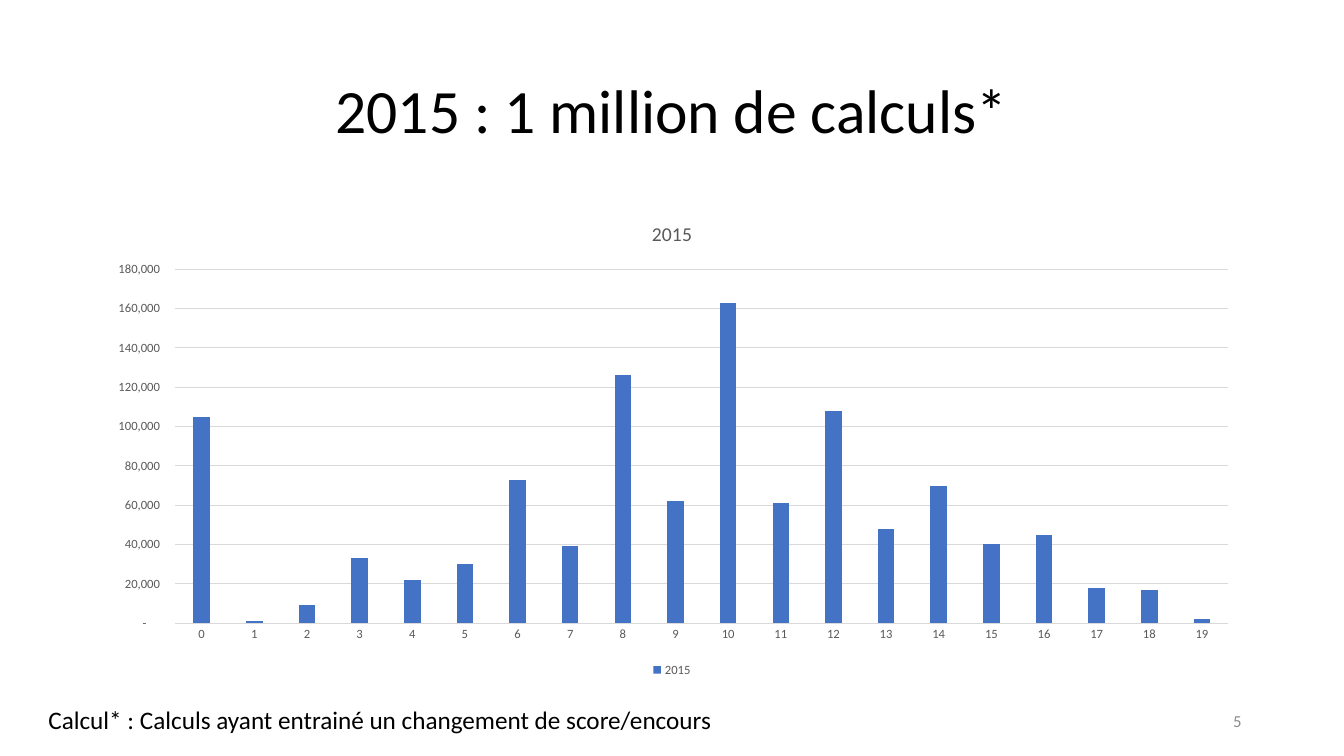
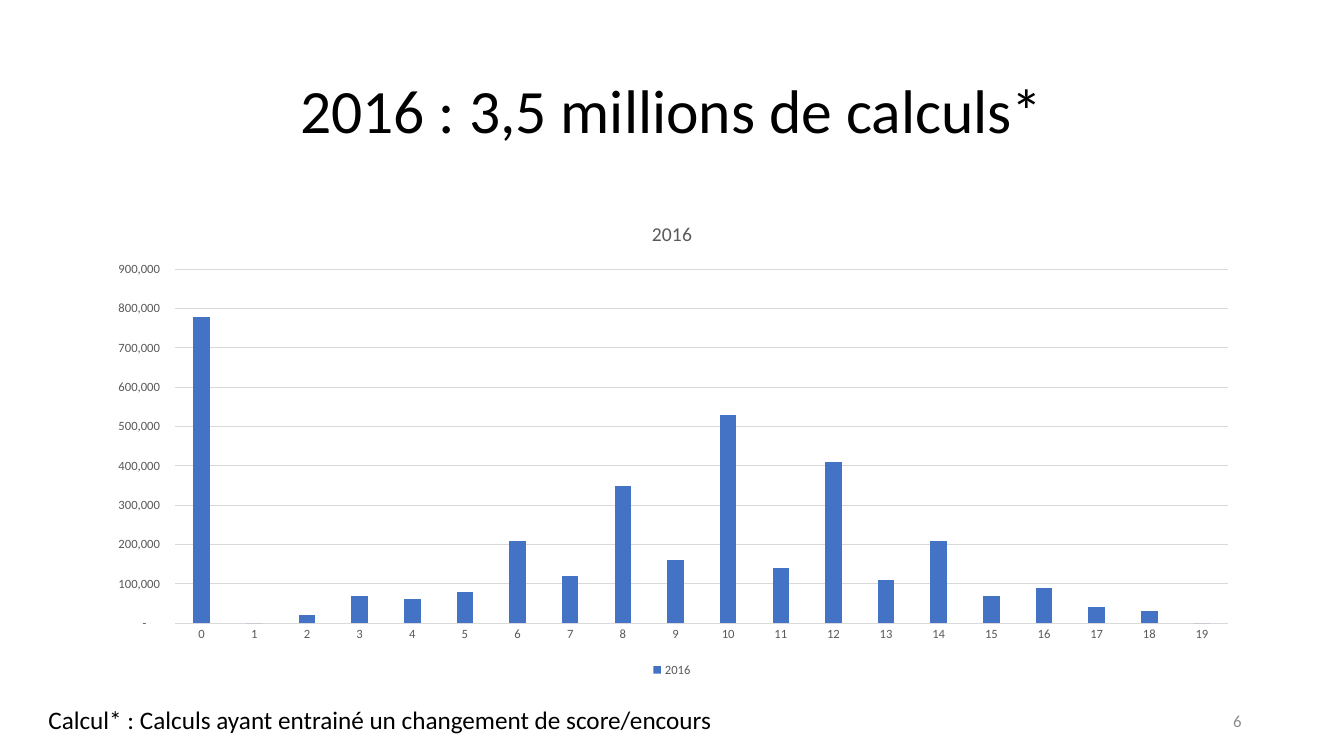
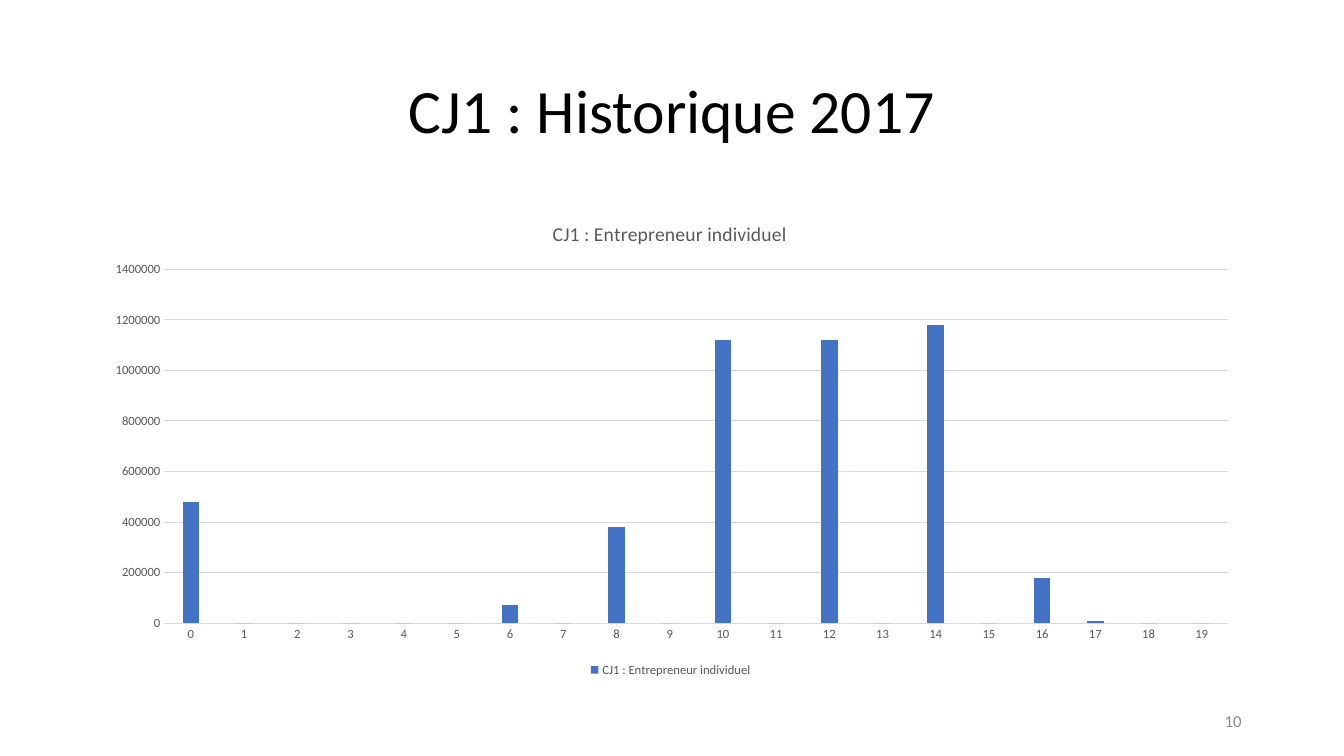
from collections import namedtuple

from pptx import Presentation
from pptx.chart.data import CategoryChartData
from pptx.dml.color import RGBColor
from pptx.enum.chart import XL_CHART_TYPE, XL_LEGEND_POSITION, XL_TICK_MARK
from pptx.enum.text import MSO_ANCHOR, MSO_AUTO_SIZE, PP_ALIGN
from pptx.util import Cm, Pt

FONT = "Calibri"
COLORS = {
    "text": "000000",
    "chart_text": "595959",
    "grid": "D9D9D9",
    "bar": "4472C4",
    "page": "8C8C8C",
}
EURO_FORMAT = r'_-* #,##0\ _€_-;\-* #,##0\ _€_-;_-* "-"??\ _€_-;_-@_-'
FOOTNOTE = "Calcul* : Calculs ayant entrainé un changement de score/encours"
SCORES = [str(score) for score in range(20)]

Box = namedtuple("Box", "left top width height")
TITLE_BOX = Box(2.33, 1.01, 29.21, 3.68)
CHART_BOX = Box(2.33, 5.08, 29.21, 12.09)
NOTE_BOX = Box(0.97, 17.63, 19.43, 1.03)
PAGE_BOX = Box(23.92, 17.66, 7.62, 1.01)

# Counts per score, in thousands
SLIDES = [
    dict(title="2015 : 1 million de calculs*", series="2015", page=5,
         number_format=EURO_FORMAT, footnote=FOOTNOTE,
         thousands=[105, 1, 9, 33, 22, 30, 73, 39, 126, 62,
                    163, 61, 108, 48, 70, 40, 45, 18, 17, 2]),
    dict(title="2016 : 3,5 millions de calculs*", series="2016", page=6,
         number_format=EURO_FORMAT, footnote=FOOTNOTE,
         thousands=[780, 0, 20, 70, 60, 80, 210, 120, 350, 160,
                    530, 140, 410, 110, 210, 70, 90, 40, 30, 0]),
    dict(title="CJ1 : Historique 2017", series="CJ1 : Entrepreneur individuel ",
         page=10, number_format="General", footnote=None,
         thousands=[480, 0, 0, 0, 0, 0, 70, 0, 380, 0,
                    1120, 0, 1120, 0, 1180, 0, 180, 10, 0, 0]),
]


def color(name):
    return RGBColor.from_string(COLORS[name])


def lengths(box):
    return [Cm(value) for value in box]


def style_font(font, size, color_name):
    font.name = FONT
    font.size = Pt(size)
    font.bold = False
    font.color.rgb = color(color_name)


def style_line(line, color_name):
    line.color.rgb = color(color_name)
    line.width = Pt(0.75)


def add_run(p, text, size, color_name):
    r = p.add_run()
    r.text = text
    style_font(r.font, size, color_name)


def add_title(s, box, text):
    sp = s.shapes.title
    sp.left, sp.top, sp.width, sp.height = lengths(box)
    tf = sp.text_frame
    tf.vertical_anchor = MSO_ANCHOR.MIDDLE
    p = tf.paragraphs[0]
    p.alignment = PP_ALIGN.CENTER
    p.line_spacing = 0.9
    add_run(p, text, 44, "text")


def add_label(s, box, text, size, color_name, align, anchor):
    tf = s.shapes.add_textbox(*lengths(box)).text_frame
    tf.word_wrap = True
    tf.auto_size = MSO_AUTO_SIZE.NONE
    tf.vertical_anchor = anchor
    p = tf.paragraphs[0]
    p.alignment = align
    add_run(p, text, size, color_name)


def style_axis(axis):
    axis.major_tick_mark = XL_TICK_MARK.NONE
    axis.minor_tick_mark = XL_TICK_MARK.NONE
    style_font(axis.tick_labels.font, 9, "chart_text")


def add_score_chart(s, box, name, values, number_format):
    data = CategoryChartData(number_format=number_format)
    data.categories = SCORES
    data.add_series(name, values)
    chart = s.shapes.add_chart(
        XL_CHART_TYPE.COLUMN_CLUSTERED, *lengths(box), data).chart
    style_font(chart.font, 10, "text")

    chart.has_title = True
    add_run(chart.chart_title.text_frame.paragraphs[0], name, 14, "chart_text")
    chart.has_legend = True
    chart.legend.position = XL_LEGEND_POSITION.BOTTOM
    chart.legend.include_in_layout = False
    style_font(chart.legend.font, 9, "chart_text")

    plot = chart.plots[0]
    plot.vary_by_categories = False
    plot.gap_width = 219
    plot.overlap = -27
    fill = plot.series[0].format.fill
    fill.solid()
    fill.fore_color.rgb = color("bar")

    style_axis(chart.category_axis)
    style_line(chart.category_axis.format.line, "grid")
    value_axis = chart.value_axis
    style_axis(value_axis)
    value_axis.format.line.fill.background()
    value_axis.has_major_gridlines = True
    style_line(value_axis.major_gridlines.format.line, "grid")
    value_axis.tick_labels.number_format = number_format
    value_axis.tick_labels.number_format_is_linked = False


def add_chart_slide(prs, title, series, page, number_format, footnote, thousands):
    s = prs.slides.add_slide(prs.slide_layouts[5])
    add_title(s, TITLE_BOX, title)
    add_score_chart(s, CHART_BOX, series, [n * 1000 for n in thousands],
                    number_format)
    if footnote:
        add_label(s, NOTE_BOX, footnote, 18, "text",
                  PP_ALIGN.LEFT, MSO_ANCHOR.TOP)
    add_label(s, PAGE_BOX, str(page), 12, "page",
              PP_ALIGN.RIGHT, MSO_ANCHOR.MIDDLE)


def main():
    prs = Presentation()
    prs.slide_width, prs.slide_height = Cm(33.87), Cm(19.05)
    for content in SLIDES:
        add_chart_slide(prs, **content)
    prs.save("out.pptx")


if __name__ == "__main__":
    main()
